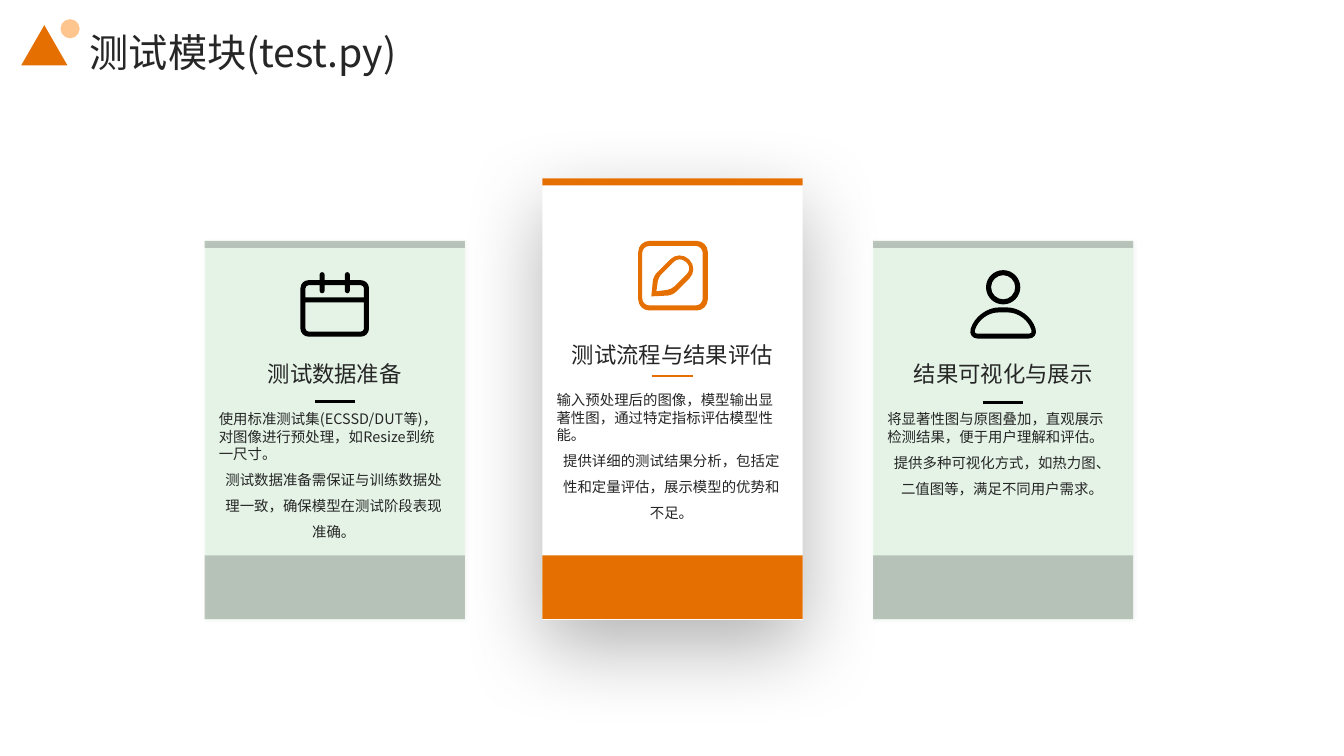
from dataclasses import dataclass
from math import hypot

from lxml.etree import SubElement
from pptx import Presentation
from pptx.dml.color import RGBColor
from pptx.enum.shapes import MSO_CONNECTOR as Connector, MSO_SHAPE as Shape
from pptx.enum.text import MSO_ANCHOR as Anchor, PP_ALIGN as Align
from pptx.oxml.ns import qn
from pptx.util import Inches, Pt


@dataclass(frozen=True)
class Theme:
    font: str = "Noto Sans CJK SC"
    white: str = "FFFFFF"
    black: str = "000000"
    text: str = "262626"
    orange: str = "E56F01"
    peach: str = "FFC58F"
    mint: str = "C2F1C8"
    title: float = 28
    heading: float = 16
    body: float = 10.3


THEME = Theme()


@dataclass(frozen=True)
class Card:
    left: float
    top: float
    heading_top: float
    rule_top: float
    heading: str
    lead: str
    detail: str
    icon: tuple
    accent: str = THEME.black
    band_alpha: int = 20
    fill: str = THEME.mint
    fill_alpha: int = 30
    shadow: tuple = (15, 3, 1, 45)


CARD_WIDTH, CARD_BOTTOM = 2.58, 6.15
TEXT_WIDTH, RULE_WIDTH = 2.28, 0.37


def frame(left, top, width, height):
    return [Inches(value) for value in (left, top, width, height)]


def paint(shape, color, alpha=100):
    shape.shadow.inherit = False
    shape.line.fill.background()
    shape.fill.solid()
    shape.fill.fore_color.rgb = RGBColor.from_string(color)
    if alpha < 100:
        tint = shape.fill._xPr.find(".//" + qn("a:srgbClr"))
        SubElement(tint, qn("a:alpha"), val=str(alpha * 1000))


def add_block(page, kind, area, color, alpha=100):
    shape = page.shapes.add_shape(kind, *frame(*area))
    paint(shape, color, alpha)
    return shape


def cast_shadow(shape, alpha, blur, distance, angle):
    effects = shape._element.spPr.find(qn("a:effectLst"))
    shadow = SubElement(effects, qn("a:outerShdw"), blurRad=str(Pt(blur)),
                        dist=str(Pt(distance)), dir=str(angle * 60000),
                        algn="ctr", rotWithShape="0")
    tint = SubElement(shadow, qn("a:srgbClr"), val=THEME.black)
    SubElement(tint, qn("a:alpha"), val=str(alpha * 1000))


def add_rule(page, left, top, color):
    rule = page.shapes.add_connector(
        Connector.STRAIGHT, Inches(left), Inches(top),
        Inches(left + RULE_WIDTH), Inches(top))
    rule.line.color.rgb = RGBColor.from_string(color)
    rule.line.width = Pt(2)
    rule._element.spPr.find(qn("a:ln")).set("cap", "sq")
    SubElement(rule._element.spPr, qn("a:effectLst"))


def add_text(page, area, lines, size, anchor=Anchor.MIDDLE):
    box = page.shapes.add_textbox(*frame(*area)).text_frame
    box.word_wrap = True
    box.vertical_anchor = anchor
    box.margin_left = box.margin_right = box.margin_top = box.margin_bottom = 0
    for index, (text, align, spacing) in enumerate(lines):
        para = box.add_paragraph() if index else box.paragraphs[0]
        para.text = text
        para.alignment = align
        para.line_spacing = spacing
        para.font.size = Pt(size)
        para.font.name = THEME.font
        para.font.color.rgb = RGBColor.from_string(THEME.text)
        SubElement(para.font._element, qn("a:ea"), typeface=THEME.font)


def toward(start, end, distance):
    length = hypot(end[0] - start[0], end[1] - start[1])
    return tuple(a + (b - a) * distance / length
                 for a, b in zip(start[:2], end[:2]))


def corner_points(corners):
    groups = []
    for index, corner in enumerate(corners):
        radius = corner[2]
        before, after = corners[index - 1], corners[(index + 1) % len(corners)]
        points = [toward(corner, before, radius),
                  toward(corner, before, radius * 0.45),
                  toward(corner, after, radius * 0.45),
                  toward(corner, after, radius)] if radius else [corner[:2]]
        groups.append([tuple(Inches(value) for value in point) for point in points])
    return groups


def bend_corners(shape, groups):
    outline = shape._element.spPr.find(".//" + qn("a:path"))
    nodes = iter([node for node in outline if node.tag != qn("a:close")])
    for group in groups:
        next(nodes)
        if len(group) == 4:
            segments = [next(nodes) for _ in group[1:]]
            segments[0].tag = qn("a:cubicBezTo")
            for segment in segments[1:]:
                segments[0].append(segment[0])
                outline.remove(segment)


def rounded_box(left, top, width, height, radius):
    right, bottom = left + width, top + height
    return [(left, top, radius), (right, top, radius),
            (right, bottom, radius), (left, bottom, radius)]


def tabs(edge, tip, radius):
    return [corner for left in (3.17, 3.42) for corner in (
        (left, edge, 0), (left, tip, radius),
        (left + 0.05, tip, radius), (left + 0.05, edge, 0))]


def add_icon(page, outlines, color):
    contours = [corner_points(outline) for outline in outlines]
    builder = page.shapes.build_freeform(*contours[0][0][0])
    for index, groups in enumerate(contours):
        points = [point for group in groups for point in group]
        if index:
            builder.move_to(*points[0])
        builder.add_line_segments(points[1:], close=True)
    icon = builder.convert_to_shape()
    bend_corners(icon, [group for groups in contours for group in groups])
    paint(icon, color)


CALENDAR = (
    [(2.98, 2.78, 0.08), *tabs(2.78, 2.7, 0.025), (3.66, 2.78, 0.08),
     (3.66, 3.34, 0.08), (2.98, 3.34, 0.08)],
    [(3.03, 2.83, 0.03), *tabs(2.83, 2.91, 0.025), (3.61, 2.83, 0.03),
     (3.61, 2.95, 0), (3.03, 2.95, 0)],
    [(3.03, 3, 0), (3.61, 3, 0), (3.61, 3.29, 0.03), (3.03, 3.29, 0.03)],
)
PENCIL = (
    rounded_box(6.33, 2.39, 0.69, 0.69, 0.11),
    rounded_box(6.37, 2.44, 0.6, 0.59, 0.07),
    [(6.46, 2.94, 0), (6.48, 2.74, 0.05), (6.74, 2.48, 0.13),
     (6.93, 2.67, 0.13), (6.67, 2.93, 0.05)],
    [(6.51, 2.89, 0), (6.53, 2.75, 0.04), (6.74, 2.54, 0.08),
     (6.87, 2.66, 0.08), (6.66, 2.87, 0.04)],
)
PERSON = (
    rounded_box(9.78, 2.68, 0.34, 0.34, 0.17),
    rounded_box(9.83, 2.73, 0.24, 0.24, 0.12),
    [(9.69, 3.05, 0.22), (10.21, 3.05, 0.22), (10.3, 3.36, 0.1), (9.6, 3.36, 0.1)],
    [(9.72, 3.1, 0.18), (10.18, 3.1, 0.18), (10.24, 3.31, 0.03), (9.66, 3.31, 0.03)],
)
CARDS = (
    Card(8.66, 2.39, 3.47, 3.99, "结果可视化与展示",
         "将显著性图与原图叠加，直观展示检测结果，便于用户理解和评估。",
         "提供多种可视化方式，如热力图、二值图等，满足不同用户需求。", PERSON),
    Card(2.03, 2.39, 3.47, 3.98, "测试数据准备",
         "使用标准测试集(ECSSD/DUT等)，对图像进行预处理，如Resize到统一尺寸。",
         "测试数据准备需保证与训练数据处理一致，确保模型在测试阶段表现准确。", CALENDAR),
    Card(5.38, 1.77, 3.28, 3.73, "测试流程与结果评估",
         "输入预处理后的图像，模型输出显著性图，通过特定指标评估模型性能。",
         "提供详细的测试结果分析，包括定性和定量评估，展示模型的优势和不足。", PENCIL,
         THEME.orange, 100, THEME.white, 100, (30, 60, 20, 90)),
)


def add_card(page, card):
    panel = add_block(page, Shape.RECTANGLE,
                      (card.left, card.top, CARD_WIDTH, CARD_BOTTOM - card.top),
                      card.fill, card.fill_alpha)
    cast_shadow(panel, *card.shadow)
    for top, height in ((card.top, 0.07), (5.51, 0.63)):
        add_block(page, Shape.RECTANGLE, (card.left, top, CARD_WIDTH, height),
                  card.accent, card.band_alpha)
    add_icon(page, card.icon, card.accent)
    add_rule(page, card.left + (CARD_WIDTH - RULE_WIDTH) / 2, card.rule_top, card.accent)
    text_left = card.left + (CARD_WIDTH - TEXT_WIDTH) / 2
    add_text(page, (text_left, card.heading_top, TEXT_WIDTH, 0.4),
             [(card.heading, Align.CENTER, 1.3)], THEME.heading)
    add_text(page, (text_left - 0.01, card.heading_top + 0.6, TEXT_WIDTH, 1.38),
             [(card.lead, Align.LEFT, Pt(12.5)), (card.detail, Align.CENTER, Pt(18.6))],
             THEME.body, Anchor.TOP)


def main():
    deck = Presentation()
    deck.slide_width, deck.slide_height = Inches(13.33), Inches(7.5)
    page = deck.slides.add_slide(deck.slide_layouts[6])
    add_block(page, Shape.RECTANGLE, (0, 0, 13.33, 7.5), THEME.white)
    for card in CARDS:
        add_card(page, card)
    add_text(page, (0.89, 0.15, 11.35, 0.59),
             [("测试模块(test.py)", Align.LEFT, 1.3)], THEME.title)
    add_block(page, Shape.ISOSCELES_TRIANGLE, (0.21, 0.25, 0.46, 0.4), THEME.orange)
    add_block(page, Shape.OVAL, (0.6, 0.19, 0.19, 0.19), THEME.peach)
    deck.save("out.pptx")


if __name__ == "__main__":
    main()
